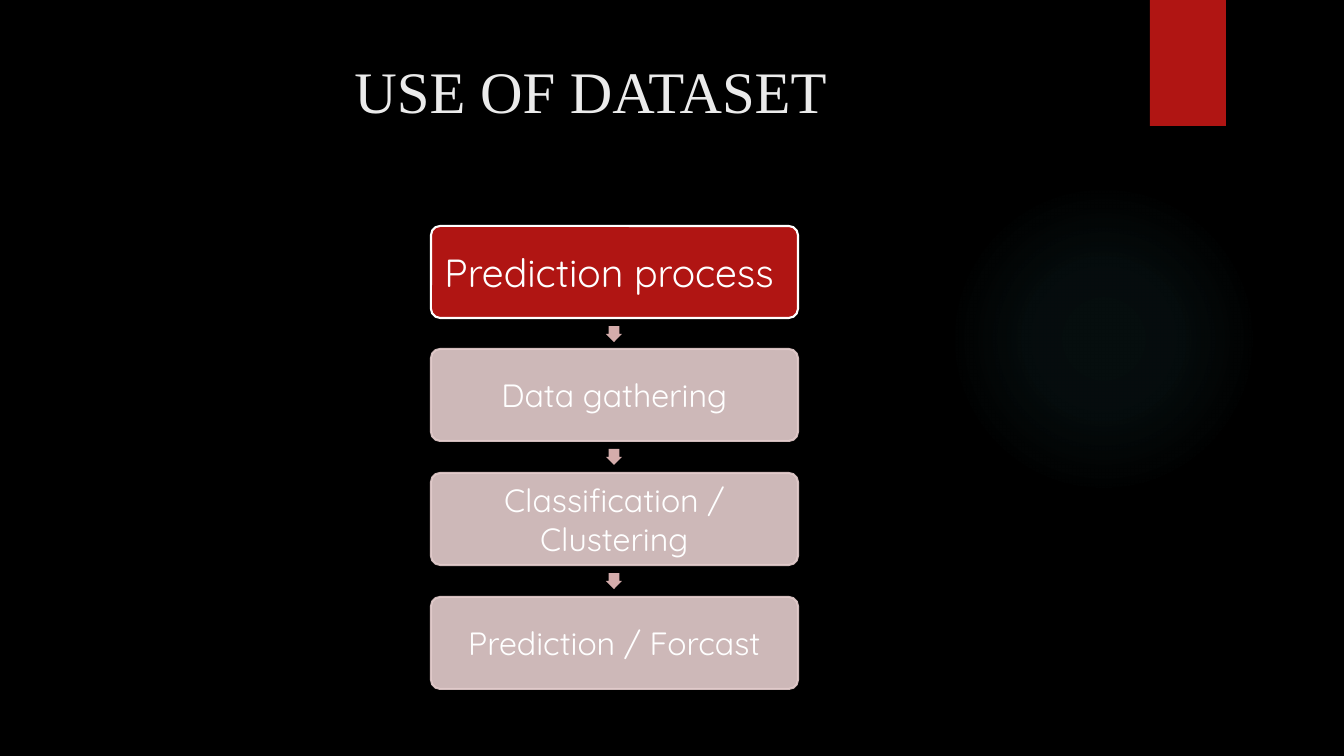
from dataclasses import dataclass

from lxml.etree import SubElement
from pptx import Presentation
from pptx.dml.color import RGBColor
from pptx.enum.shapes import MSO_SHAPE
from pptx.enum.text import MSO_ANCHOR, PP_ALIGN
from pptx.oxml.ns import qn
from pptx.util import Emu, Pt


@dataclass(frozen=True)
class Theme:
    background: str = "000000"
    accent: str = "B01513"
    step: str = "E4CCCC"
    arrow: str = "D4ACAB"
    glow: str = "50B9C1"
    title: str = "EBEBEB"
    text: str = "FFFFFF"
    title_font: str = "Times New Roman"
    body_font: str = "Quicksand"
    title_size: int = 42
    lead_size: int = 28
    step_size: int = 23
    line_width: float = 1.5


THEME = Theme()
EMU_PER_PX = 914400 / 100.8
STEPS = ["Prediction process ", "Data gathering",
         "Classification / Clustering", "Prediction / Forcast"]
BOX_LEFT, BOX_WIDTH, BOX_HEIGHT = 431, 367, 92
FIRST_TOP, LAST_TOP = 226, 597
ARROW_SIZE, ARROW_GAP = 16, 8


def px(n):
    return Emu(round(n * EMU_PER_PX))


def rgb(color):
    return RGBColor.from_string(color)


def set_alpha(fill_parent, percent):
    color = fill_parent.find(qn("a:solidFill"))[0]
    SubElement(color, qn("a:alpha"), val=str(percent * 1000))


def add_shape(s, kind, left, top, width, height, color):
    sp = s.shapes.add_shape(kind, px(left), px(top), px(width), px(height))
    sp.shadow.inherit = False
    sp.fill.solid()
    sp.fill.fore_color.rgb = rgb(color)
    sp.line.fill.background()
    return sp


def add_run(p, text, font, size, color):
    p.alignment = PP_ALIGN.CENTER
    r = p.add_run()
    r.text = text
    r.font.name = font
    r.font.size = Pt(size)
    r.font.color.rgb = rgb(color)


def add_glow(s):
    sp = add_shape(s, MSO_SHAPE.OVAL, 949, 184, 310, 310, THEME.glow)
    solid = sp.element.spPr.find(qn("a:solidFill"))
    grad = solid.makeelement(qn("a:gradFill"), {"rotWithShape": "1"})
    stops = SubElement(grad, qn("a:gsLst"))
    for position, alpha in [(0, 7), (36, 6), (69, 0)]:
        gs = SubElement(stops, qn("a:gs"), pos=str(position * 1000))
        color = SubElement(gs, qn("a:srgbClr"), val=THEME.glow)
        SubElement(color, qn("a:alpha"), val=str(alpha * 1000))
    circle = SubElement(grad, qn("a:path"), {"path": "circle"})
    SubElement(circle, qn("a:fillToRect"), dict.fromkeys("ltrb", "50000"))
    solid.getparent().replace(solid, grad)


def add_title(s, text):
    sp = s.shapes.title
    sp.left, sp.top, sp.width, sp.height = px(72), px(50), px(1037), px(154)
    tf = sp.text_frame
    tf.word_wrap = True
    tf.vertical_anchor = MSO_ANCHOR.TOP
    add_run(tf.paragraphs[0], text, THEME.title_font, THEME.title_size, THEME.title)


def add_step(s, text, top, lead):
    sp = add_shape(s, MSO_SHAPE.ROUNDED_RECTANGLE, BOX_LEFT, top, BOX_WIDTH,
                   BOX_HEIGHT, THEME.accent if lead else THEME.step)
    sp.adjustments[0] = 0.1
    sp.line.color.rgb = rgb(THEME.text if lead else THEME.step)
    sp.line.width = Pt(THEME.line_width)
    if not lead:
        set_alpha(sp.element.spPr, 90)
        set_alpha(sp.element.spPr.find(qn("a:ln")), 90)
    tf = sp.text_frame
    tf.word_wrap = True
    tf.vertical_anchor = MSO_ANCHOR.MIDDLE
    tf.margin_left = tf.margin_right = tf.margin_top = tf.margin_bottom = px(3)
    add_run(tf.paragraphs[0], text, THEME.body_font,
            THEME.lead_size if lead else THEME.step_size, THEME.text)


def add_arrow(s, top):
    left = BOX_LEFT + (BOX_WIDTH - ARROW_SIZE) // 2
    sp = add_shape(s, MSO_SHAPE.RIGHT_ARROW, left, top, ARROW_SIZE, ARROW_SIZE, THEME.arrow)
    sp.rotation = 90
    sp.adjustments[0] = 0.67


def main():
    prs = Presentation()
    prs.slide_width, prs.slide_height = px(1344), px(756)
    s = prs.slides.add_slide(prs.slide_layouts[5])
    s.background.fill.solid()
    s.background.fill.fore_color.rgb = rgb(THEME.background)
    add_glow(s)
    add_shape(s, MSO_SHAPE.RECTANGLE, 1150, 0, 76, 126, THEME.accent)
    add_title(s, "USE OF DATASET")
    last = len(STEPS) - 1
    for i, text in enumerate(STEPS):
        top = FIRST_TOP + (LAST_TOP - FIRST_TOP) * i // last
        add_step(s, text, top, lead=i == 0)
        if i < last:
            add_arrow(s, top + BOX_HEIGHT + ARROW_GAP)
    prs.save("out.pptx")


if __name__ == "__main__":
    main()
